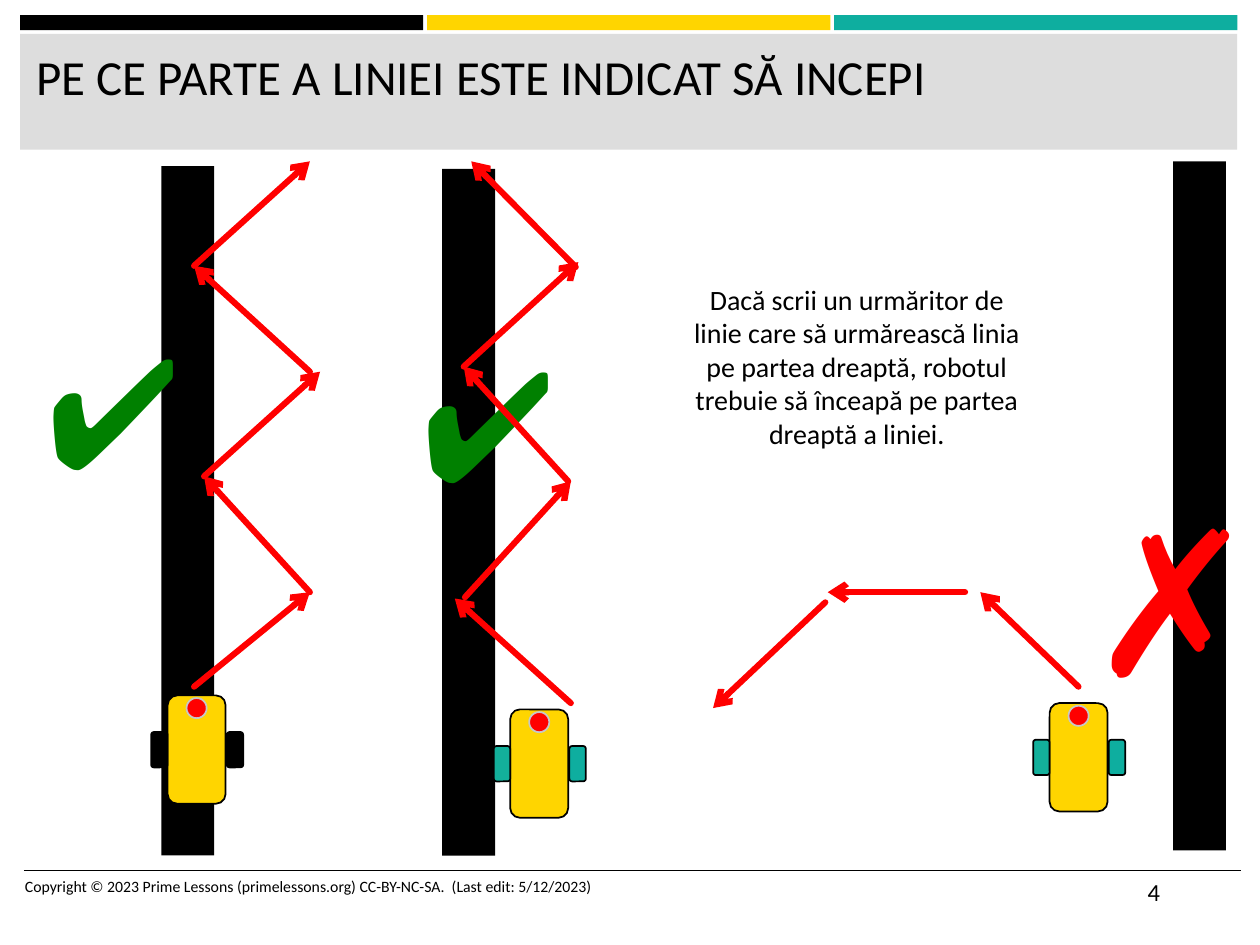
from lxml import etree
from pptx import Presentation
from pptx.dml.color import RGBColor
from pptx.enum import shapes as sh, text as tx
from pptx.oxml import ns
from pptx.util import Pt

BLACK = RGBColor(0x00, 0x00, 0x00)
YELLOW = RGBColor(0xFF, 0xD5, 0x00)
TEAL = RGBColor(0x0E, 0xAE, 0x9F)
GREEN_TEAL = RGBColor(0x13, 0xB0, 0x9B)
GREY = RGBColor(0xDD, 0xDD, 0xDD)
SILVER = RGBColor(0xC7, 0xC7, 0xC7)
RED = RGBColor(0xFF, 0x00, 0x00)
GREEN = RGBColor(0x00, 0x80, 0x00)

TITLE = "PE CE PARTE A LINIEI ESTE INDICAT SĂ INCEPI"
ADVICE = ("Dacă scrii un urmăritor de linie care să urmărească linia pe partea dreaptă, "
          "robotul trebuie să înceapă pe partea dreaptă a liniei.")
COPYRIGHT = "Copyright © 2023 Prime Lessons (primelessons.org) CC-BY-NC-SA.  (Last edit: 5/12/2023)"

# Left, top, height of each black line on the floor
TRACKS = [(92.2, 95, 393.8), (252.7, 96.5, 392.4), (670.3, 92.2, 393.8)]
TRACK_WIDTH = 30.2

# Text, left, top, width, height, size, font, colour
MARKS = [
    ("✔", 234, 183.6, 77, 113.8, 88, "Arial", GREEN),
    ("✗", 614.9, 267.8, 77, 146.9, 115, "Arial", RED),
    ("✔", 19.4, 176.4, 77, 113.8, 88, "Arial", GREEN),
]
LABELS = [
    (ADVICE, 385.9, 157.7, 207.4, 104.4, 16, "Calibri", BLACK),
    (COPYRIGHT, 7.2, 497.5, 383.8, 28.8, 9, "Calibri", BLACK),
    ("4", 648.7, 497.5, 60.5, 28.8, 14, "Calibri", BLACK),
]

# Start x, y and end x, y of each move of the robots
MOVES = [
    (110.9, 392.4, 177.1, 338.4), (177.1, 338.4, 116.6, 272.2),
    (116.6, 272.2, 182.9, 212.4), (177.1, 212.4, 110.9, 151.9),
    (110.9, 151.9, 177.1, 92.2),
    (326.2, 401.8, 259.9, 342), (265.7, 341.3, 326.2, 275),
    (324.7, 275, 265, 209.5), (265, 209.5, 330.5, 149.8),
    (329, 152.6, 269.3, 92.2),
    (616.3, 392.4, 560.2, 338.4), (551.5, 338.4, 473, 338.4),
    (471.6, 344.2, 407.5, 404.6),
]

# Left and top of the body, colours of the left and right wheel
ROBOTS = [
    (95.8, 397.4, BLACK, BLACK),
    (291.6, 405.4, GREEN_TEAL, TEAL),
    (599.8, 401.8, GREEN_TEAL, TEAL),
]


def add_block(parent, kind, left, top, width, height, fill, outline=None):
    block = parent.add_shape(kind, Pt(left), Pt(top), Pt(width), Pt(height))
    block.shadow.inherit = False
    block.fill.solid()
    block.fill.fore_color.rgb = fill
    if outline is None:
        block.line.fill.background()
    else:
        block.line.color.rgb = outline
        block.line.width = Pt(1)


def add_line(parent, x1, y1, x2, y2, color, width, arrow=False):
    line = parent.add_connector(sh.MSO_CONNECTOR.STRAIGHT, Pt(x1), Pt(y1), Pt(x2), Pt(y2))
    line.line.color.rgb = color
    line.line.width = Pt(width)
    if arrow:
        ln = line.line._get_or_add_ln()
        ln.set("cap", "rnd")
        etree.SubElement(ln, ns.qn("a:tailEnd"), type="arrow")
    etree.SubElement(line._element.spPr, ns.qn("a:effectLst"))


def style_text(frame, size, font, color, align=tx.PP_ALIGN.LEFT):
    frame.word_wrap = True
    frame.vertical_anchor = tx.MSO_ANCHOR.TOP
    paragraph = frame.paragraphs[0]
    paragraph.alignment = align
    run_font = paragraph.runs[0].font
    run_font.size, run_font.name = Pt(size), font
    run_font.color.rgb = color


def add_label(parent, words, left, top, width, height, size, font, color):
    frame = parent.add_textbox(Pt(left), Pt(top), Pt(width), Pt(height)).text_frame
    frame.text = words
    centred = words == ADVICE
    style_text(frame, size, font, color, tx.PP_ALIGN.CENTER if centred else tx.PP_ALIGN.LEFT)


def add_robot(parent, left, top, left_wheel, right_wheel):
    robot = parent.add_group_shape().shapes
    rounded = sh.MSO_SHAPE.ROUNDED_RECTANGLE
    add_block(robot, rounded, left, top, 33.1, 61.9, YELLOW, BLACK)
    for offset, color in ((33.8, right_wheel), (-9.4, left_wheel)):
        add_block(robot, rounded, left + offset, top + 20.9, 9.4, 20.2, color, BLACK)
    add_block(robot, sh.MSO_SHAPE.OVAL, left + 10.8, top + 1.5, 11.5, 11.5, RED, SILVER)


def main():
    deck = Presentation()
    deck.slide_width, deck.slide_height = Pt(720), Pt(540)
    slide = deck.slides.add_slide(deck.slide_layouts[5])
    parts = slide.shapes
    rect = sh.MSO_SHAPE.RECTANGLE

    for i, color in enumerate((BLACK, YELLOW, TEAL)):
        add_block(parts, rect, 11.5 + i * 232.6, 8.6, 230.4, 8.6, color)
    add_block(parts, rect, 11.5, 19.4, 695.5, 66.2, GREY)
    add_line(parts, 13.7, 497.5, 709.2, 497.5, BLACK, 1)

    title = parts.title
    title.left, title.top, title.width, title.height = Pt(13.7), Pt(23), Pt(689), Pt(59)
    title.text_frame.text = TITLE
    style_text(title.text_frame, 28, "Calibri", BLACK)
    parts._spTree.append(title._element)  # in front of the grey band

    for left, top, height in TRACKS:
        add_block(parts, rect, left, top, TRACK_WIDTH, height, BLACK)
    for mark in MARKS:
        add_label(parts, *mark)
    for move in MOVES:
        add_line(parts, *move, RED, 3.5, arrow=True)
    for robot in ROBOTS:
        add_robot(parts, *robot)
    for label in LABELS:
        add_label(parts, *label)

    deck.save("out.pptx")


if __name__ == "__main__":
    main()
